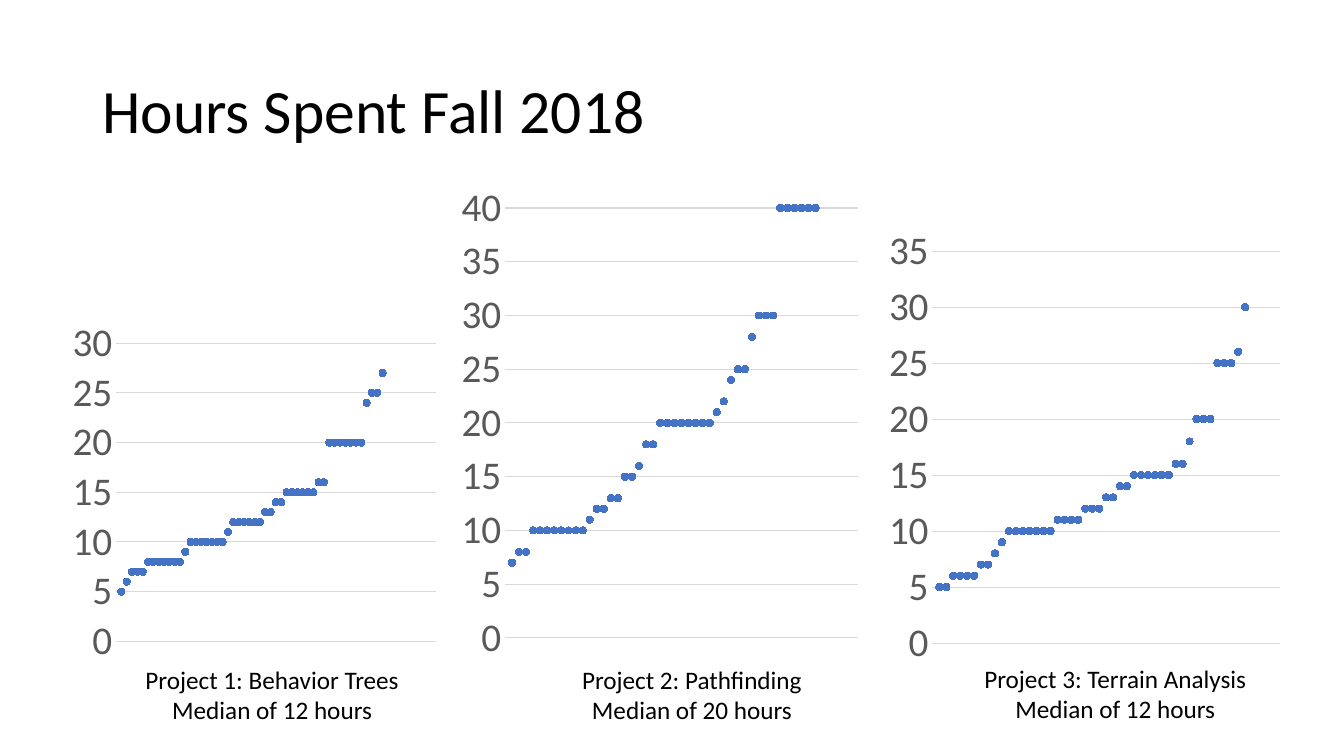
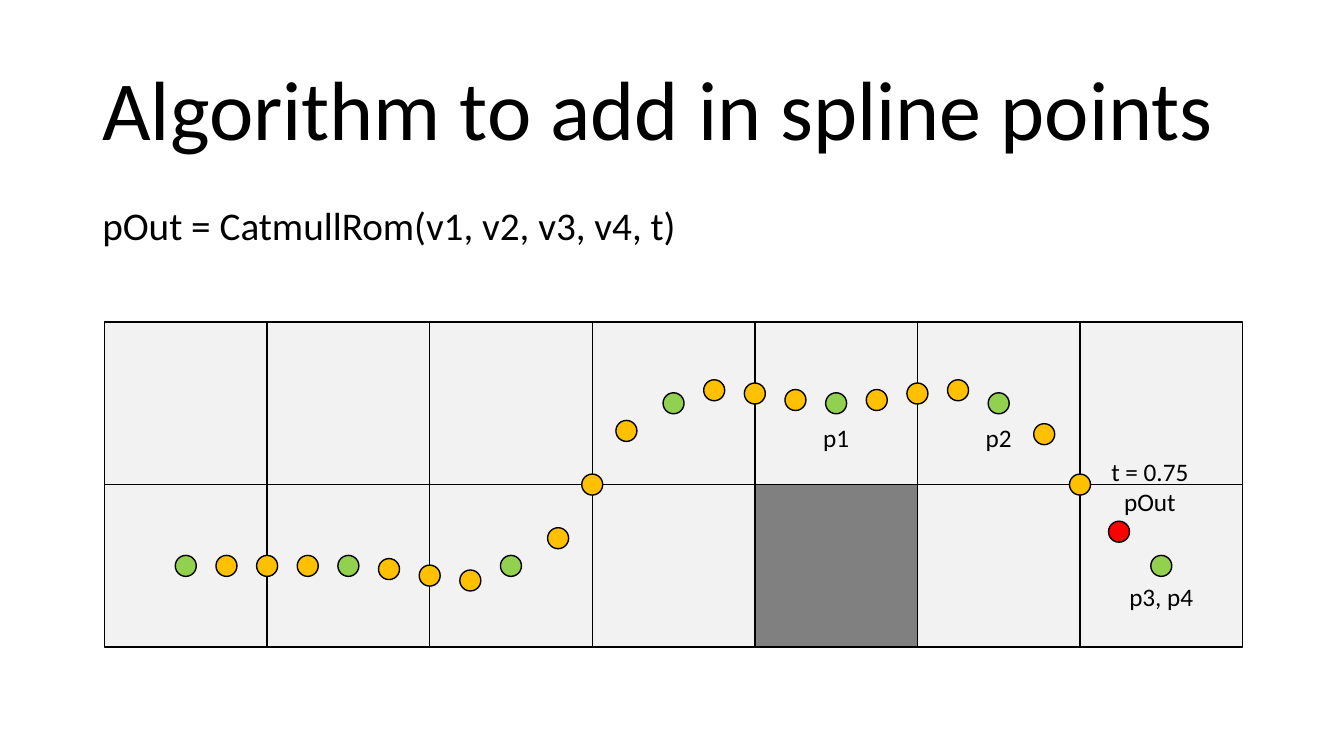
from lxml import etree
from pptx import Presentation
from pptx.chart.data import XyChartData
from pptx.dml.color import RGBColor
from pptx.enum.chart import XL_CHART_TYPE, XL_MARKER_STYLE, XL_TICK_MARK
from pptx.enum.shapes import MSO_SHAPE
from pptx.enum.text import MSO_ANCHOR, PP_ALIGN
from pptx.oxml.ns import qn
from pptx.util import Pt

SCATTER = XL_CHART_TYPE.XY_SCATTER
CIRCLE = XL_MARKER_STYLE.CIRCLE
NO_TICK = XL_TICK_MARK.NONE
RECT, OVAL = MSO_SHAPE.RECTANGLE, MSO_SHAPE.OVAL
LEFT, CENTER = PP_ALIGN.LEFT, PP_ALIGN.CENTER
TOP, MIDDLE = MSO_ANCHOR.TOP, MSO_ANCHOR.MIDDLE

FONT = "Calibri"
COLORS = {
    "text": "000000", "axis": "595959", "grid": "D9D9D9", "hours": "4472C4",
    "cell": "F2F2F2", "obstacle": "808080", "waypoint": "92D050",
    "spline": "FFC000", "output": "FF0000",
}

PROJECTS = [
    {
        "caption": "Project 1: Behavior Trees\nMedian of 12 hours",
        "caption_box": (95.8, 470.9, 197.3, 51),
        "frame": (46.8, 223.2, 270, 257),
        "plot": (82.9, 245.2, 228.5, 213),
        "max_student": 60, "max_hours": 30,
        "hours": [5, 6, 7, 7, 7, 8, 8, 8, 8, 8, 8, 8, 9, 10, 10, 10, 10, 10,
                  10, 10, 11, 12, 12, 12, 12, 12, 12, 13, 13, 14, 14, 15, 15,
                  15, 15, 15, 15, 16, 16, 20, 20, 20, 20, 20, 20, 20, 24, 25,
                  25, 27],
    },
    {
        "caption": "Project 2: Pathfinding\nMedian of 20 hours",
        "caption_box": (407.5, 470.9, 173.5, 51),
        "frame": (324, 85.7, 295.2, 395.3),
        "plot": (360.7, 148.6, 252.2, 307.2),
        "max_student": 50, "max_hours": 40,
        "hours": [7, 8, 8, 10, 10, 10, 10, 10, 10, 10, 10, 11, 12, 12, 13, 13,
                  15, 15, 16, 18, 18, 20, 20, 20, 20, 20, 20, 20, 20, 21, 22,
                  24, 25, 25, 28, 30, 30, 30, 40, 40, 40, 40, 40, 40],
    },
    {
        "caption": "Project 3: Terrain Analysis\nMedian of 12 hours",
        "caption_box": (694.8, 470.2, 203.8, 51),
        "frame": (630, 156.2, 290.2, 326.9),
        "plot": (666, 179.4, 248.3, 280),
        "max_student": 50, "max_hours": 35,
        "hours": [5, 5, 6, 6, 6, 6, 7, 7, 8, 9, 10, 10, 10, 10, 10, 10, 10, 11,
                  11, 11, 11, 12, 12, 12, 13, 13, 14, 14, 15, 15, 15, 15, 15,
                  15, 16, 16, 18, 20, 20, 20, 25, 25, 25, 26, 30],
    },
]

GRID_LEFT, GRID_TOP, CELL = 74.65, 230, 116.13
COLUMNS, ROWS = 7, 2
OBSTACLE = (4, 1)
DOT = 15
DOTS = {
    "waypoint": [(0.5, 1.5), (1.5, 1.5), (2.5, 1.5), (3.5, 0.5), (4.5, 0.5),
                 (5.5, 0.5), (6.5, 1.5)],
    "spline": [(0.75, 1.5), (1, 1.5), (1.25, 1.5), (1.75, 1.52), (2, 1.56),
               (2.25, 1.59), (2.79, 1.33), (3, 1), (3.21, 0.67), (3.75, 0.42),
               (4, 0.44), (4.25, 0.48), (4.75, 0.48), (5, 0.44), (5.25, 0.42),
               (5.78, 0.69), (6, 1)],
    "output": [(6.24, 1.29)],
}
POINT_LABELS = [
    ("p1", 4.5, 298.1, 33.4, 29),
    ("p2", 5.5, 298.1, 33.4, 29),
    ("t = 0.75\npOut", 6.43, 322.5, 71.3, 51),
    ("p3, p4", 6.5, 411.8, 61.2, 29),
]


def rgb(name):
    return RGBColor.from_string(COLORS[name])


def style_font(font, size, color):
    font.name, font.size = FONT, Pt(size)
    font.color.rgb = rgb(color)


def add_text(slide, text, box, size=18, align=CENTER, anchor=TOP, wrap=False,
             line_spacing=None):
    frame = slide.shapes.add_textbox(*map(Pt, box)).text_frame
    frame.word_wrap = wrap
    frame.vertical_anchor = anchor
    frame.text = text
    for paragraph in frame.paragraphs:
        paragraph.alignment = align
        paragraph.line_spacing = line_spacing
        for run in paragraph.runs:
            style_font(run.font, size, "text")


def add_slide(prs, title, size):
    slide = prs.slides.add_slide(prs.slide_layouts[6])
    add_text(slide, title, (66, 28.75, 828, 104.4), size, LEFT, MIDDLE, True, 0.9)
    return slide


def add_outlined(slide, kind, box, fill):
    shape = slide.shapes.add_shape(kind, *map(Pt, box))
    shape.shadow.inherit = False
    shape.fill.solid()
    shape.fill.fore_color.rgb = rgb(fill)
    shape.line.color.rgb = rgb("text")
    shape.line.width = Pt(1)


def place_plot(chart, frame, plot):
    area = chart._chartSpace.chart.plotArea
    for old in area.findall(qn("c:layout")):
        area.remove(old)
    layout = etree.Element(qn("c:layout"))
    manual = etree.SubElement(layout, qn("c:manualLayout"))
    left, top, width, height = frame
    settings = [
        ("layoutTarget", "inner"), ("xMode", "edge"), ("yMode", "edge"),
        ("x", (plot[0] - left) / width), ("y", (plot[1] - top) / height),
        ("w", plot[2] / width), ("h", plot[3] / height),
    ]
    for tag, value in settings:
        etree.SubElement(manual, qn("c:" + tag)).set("val", str(value))
    area.insert(0, layout)


def add_hours_chart(slide, project):
    data = XyChartData()
    points = data.add_series("Series 1")
    for student, hours in enumerate(project["hours"], 1):
        points.add_data_point(student, hours)
    chart = slide.shapes.add_chart(
        SCATTER, *map(Pt, project["frame"]), data).chart
    chart.has_legend = False
    chart.has_title = False
    style_font(chart.font, 10, "text")
    place_plot(chart, project["frame"], project["plot"])

    students = chart.category_axis
    students.minimum_scale, students.maximum_scale = 0, project["max_student"]
    students.has_major_gridlines = False
    students.visible = False

    axis = chart.value_axis
    axis.minimum_scale, axis.maximum_scale = 0, project["max_hours"]
    axis.major_unit = 5
    axis.major_tick_mark = axis.minor_tick_mark = NO_TICK
    axis.format.line.fill.background()
    axis.has_major_gridlines = True
    axis.major_gridlines.format.line.color.rgb = rgb("grid")
    axis.major_gridlines.format.line.width = Pt(0.75)
    style_font(axis.tick_labels.font, 28, "axis")

    chart.plots[0].vary_by_categories = False
    series = chart.plots[0].series[0]
    series.format.line.fill.background()
    series.marker.style, series.marker.size = CIRCLE, 5
    series.marker.format.fill.solid()
    series.marker.format.fill.fore_color.rgb = rgb("hours")
    series.marker.format.line.color.rgb = rgb("hours")


def build_hours(prs):
    slide = add_slide(prs, "Hours Spent Fall 2018", 44)
    for project in PROJECTS:
        add_hours_chart(slide, project)
        add_text(slide, project["caption"], project["caption_box"])


def build_spline(prs):
    slide = add_slide(prs, "Algorithm to add in spline points", 60)
    add_text(slide, "pOut = CatmullRom(v1, v2, v3, v4, t)",
             (66, 144, 828, 40), 28, LEFT, wrap=True, line_spacing=0.9)
    for row in range(ROWS):
        for column in range(COLUMNS):
            box = (GRID_LEFT + column * CELL, GRID_TOP + row * CELL, CELL, CELL)
            fill = "obstacle" if (column, row) == OBSTACLE else "cell"
            add_outlined(slide, RECT, box, fill)
    for role, centers in DOTS.items():
        for column, row in centers:
            left = GRID_LEFT + column * CELL - DOT / 2
            top = GRID_TOP + row * CELL - DOT / 2
            add_outlined(slide, OVAL, (left, top, DOT, DOT), role)
    for text, column, top, width, height in POINT_LABELS:
        left = GRID_LEFT + column * CELL - width / 2
        add_text(slide, text, (left, top, width, height))


def main():
    prs = Presentation()
    prs.slide_width, prs.slide_height = Pt(960), Pt(540)
    build_hours(prs)
    build_spline(prs)
    prs.save("out.pptx")


if __name__ == "__main__":
    main()
